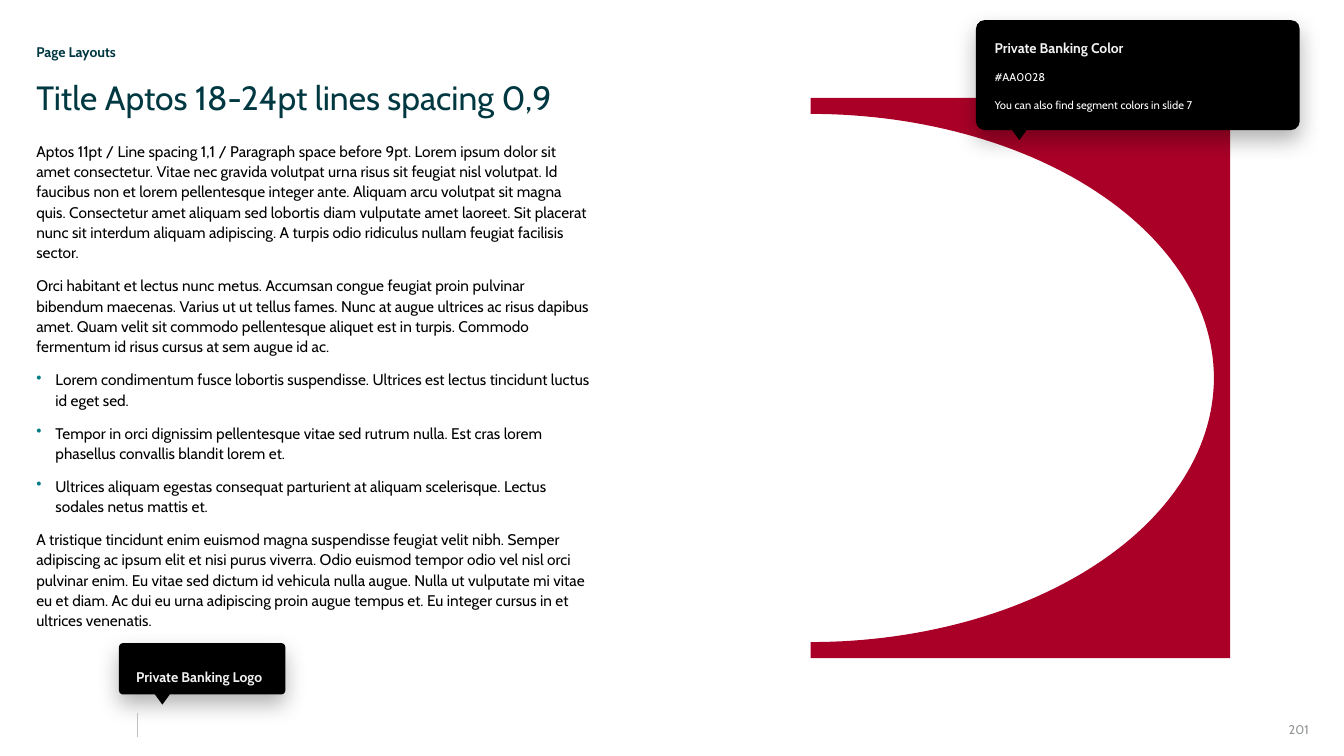
from math import cos, pi, sin

from lxml.etree import SubElement
from pptx import Presentation
from pptx.dml.color import RGBColor
from pptx.enum.shapes import MSO_CONNECTOR as Connector
from pptx.enum.shapes import MSO_SHAPE as Shape
from pptx.enum.text import MSO_ANCHOR as Anchor
from pptx.enum.text import PP_ALIGN as Align
from pptx.oxml.ns import qn
from pptx.util import Inches, Pt

COLORS = {
    "petrol": "003841", "teal": "007B85", "red": "AA0028", "black": "000000",
    "white": "FFFFFF", "pale": "F2F2F2", "gray": "939793", "rule": "BEC1BE",
}
FONT = "Cabin"
STYLES = {
    "kicker": {"size": 10, "color": "petrol", "bold": True, "spacing": 0.9},
    "title": {"size": 24, "color": "petrol", "spacing": 0.9},
    "body": {"size": 11, "color": "black", "spacing": 1.1, "before": 9},
    "bullet": {"size": 11, "color": "black", "spacing": 1.1, "before": 9},
    "page": {"size": 9, "color": "gray", "align": Align.RIGHT},
    "heading": {"size": 10, "color": "pale", "bold": True, "spacing": 1.1},
    "detail": {"size": 8, "color": "white", "spacing": 1.1, "before": 9},
}
BODY = [
    ("body", "Aptos 11pt / Line spacing 1,1 / Paragraph space before 9pt. Lorem ipsum dolor sit "
     "amet consectetur. Vitae nec gravida volutpat urna risus sit feugiat nisl volutpat. Id "
     "faucibus non et lorem pellentesque integer ante. Aliquam arcu volutpat sit magna quis. "
     "Consectetur amet aliquam sed lobortis diam vulputate amet laoreet. Sit placerat nunc sit "
     "interdum aliquam adipiscing. A turpis odio ridiculus nullam feugiat facilisis sector."),
    ("body", "Orci habitant et lectus nunc metus. Accumsan congue feugiat proin pulvinar bibendum "
     "maecenas. Varius ut ut tellus fames. Nunc at augue ultrices ac risus dapibus amet. Quam "
     "velit sit commodo pellentesque aliquet est in turpis. Commodo fermentum id risus cursus "
     "at sem augue id ac."),
    ("bullet", "Lorem condimentum fusce lobortis suspendisse. Ultrices est lectus tincidunt "
     "luctus id eget sed."),
    ("bullet", "Tempor in orci dignissim pellentesque vitae sed rutrum nulla. Est cras lorem "
     "phasellus convallis blandit lorem et."),
    ("bullet", "Ultrices aliquam egestas consequat parturient at aliquam scelerisque. Lectus "
     "sodales netus mattis et."),
    ("body", "A tristique tincidunt enim euismod magna suspendisse feugiat velit nibh. Semper "
     "adipiscing ac ipsum elit et nisi purus viverra. Odio euismod tempor odio vel nisl orci "
     "pulvinar enim. Eu vitae sed dictum id vehicula nulla augue. Nulla ut vulputate mi vitae "
     "eu et diam. Ac dui eu urna adipiscing proin augue tempus et. Eu integer cursus in et "
     "ultrices venenatis."),
]


def rgb(name):
    """Return the named colour."""
    return RGBColor.from_string(COLORS[name])


def fill_plain(shape, color):
    """Give a shape a flat fill without line or shadow."""
    shape.shadow.inherit = False
    shape.fill.solid()
    shape.fill.fore_color.rgb = rgb(color)
    shape.line.fill.background()


def add_bullet(paragraph):
    """Give a paragraph a teal bullet with a hanging indent."""
    properties = paragraph._p.get_or_add_pPr()
    properties.set("marL", str(Inches(0.19)))
    properties.set("indent", str(-Inches(0.19)))
    color = SubElement(properties, qn("a:buClr"))
    SubElement(color, qn("a:srgbClr"), val=COLORS["teal"])
    SubElement(properties, qn("a:buChar"), char="•")


def write_text(frame, entries, margins=(0, 0, 0, 0), anchor=Anchor.TOP):
    """Write (style, text) entries as paragraphs into a text frame."""
    frame.word_wrap = True
    frame.vertical_anchor = anchor
    for side, margin in zip(("left", "top", "right", "bottom"), margins):
        setattr(frame, f"margin_{side}", Inches(margin))
    for index, (name, text) in enumerate(entries):
        style = STYLES[name]
        paragraph = frame.add_paragraph() if index else frame.paragraphs[0]
        layout = {
            "alignment": style.get("align", Align.LEFT),
            "line_spacing": style.get("spacing", 1.0),
            "space_before": Pt(style.get("before", 0) if index else 0),
        }
        for attribute, value in layout.items():
            setattr(paragraph, attribute, value)
        if name == "bullet":
            add_bullet(paragraph)
        run = paragraph.add_run()
        run.text = text
        look = {"name": FONT, "size": Pt(style["size"]), "bold": style.get("bold", False)}
        for attribute, value in look.items():
            setattr(run.font, attribute, value)
        run.font.color.rgb = rgb(style["color"])


def add_text(slide, box, entries, anchor=Anchor.TOP):
    """Add a text box without margins."""
    shape = slide.shapes.add_textbox(*map(Inches, box))
    write_text(shape.text_frame, entries, anchor=anchor)


def add_article(slide, left, top, width):
    """Add the kicker, title and body column."""
    add_text(slide, (left, top, width, 0.15), [("kicker", "Page Layouts")])
    add_text(slide, (left, top + 0.94, width, 5.51), BODY)
    add_text(slide, (left, top + 0.36, width, 0.37),
             [("title", "Title Aptos 18-24pt lines spacing 0,9")])


def add_arch(slide, left, top, width, height, rim=0.16, steps=60):
    """Add the two mirrored halves of the red frame around a half ellipse."""
    middle = top + height / 2
    for side in (1, -1):
        edge = middle + side * height / 2
        angles = [step * pi / 2 / steps for step in range(steps + 1)]
        curve = [(left + (width - rim) * cos(angle),
                  middle + side * (height / 2 - rim) * sin(angle)) for angle in angles]
        points = [(left + width, edge), (left + width, middle), *curve]
        builder = slide.shapes.build_freeform(Inches(left), Inches(edge))
        builder.add_line_segments([(Inches(x), Inches(y)) for x, y in points], close=True)
        fill_plain(builder.convert_to_shape(), "red")


def add_soft_shadow(shape):
    """Add a blurred shadow that falls straight down."""
    effects = shape._element.spPr.find(qn("a:effectLst"))
    shadow = SubElement(effects, qn("a:outerShdw"), blurRad=str(Pt(16.1)), dist=str(Pt(7.1)),
                        dir="5400000", algn="t", rotWithShape="0")
    color = SubElement(shadow, qn("a:srgbClr"), val=COLORS["black"])
    SubElement(color, qn("a:alpha"), val="30000")


def add_callout(slide, box, entries, bottom_margin):
    """Add a black rounded callout with a pointer below."""
    left, top, width, height = box
    bubble = slide.shapes.add_shape(Shape.ROUNDED_RECTANGLE, *map(Inches, box))
    bubble.adjustments[0] = 0.078
    fill_plain(bubble, "black")
    add_soft_shadow(bubble)
    write_text(bubble.text_frame, entries, (0.16, 0.16, 0.16, bottom_margin), Anchor.BOTTOM)
    pointer_box = (left + 0.35, top + height - 0.01, 0.16, 0.11)
    pointer = slide.shapes.add_shape(Shape.ISOSCELES_TRIANGLE, *map(Inches, pointer_box))
    pointer.rotation = 180
    fill_plain(pointer, "black")


def add_footer(slide, left, top, right):
    """Add the thin footer rule and the page number."""
    rule = slide.shapes.add_connector(
        Connector.STRAIGHT, *map(Inches, (left, top, left, top + 0.24)))
    rule.line.color.rgb = rgb("rule")
    rule.line.width = Pt(0.5)
    SubElement(rule._element.spPr, qn("a:effectLst"))
    add_text(slide, (right - 0.75, top + 0.09, 0.75, 0.15), [("page", "201")], Anchor.MIDDLE)


def main():
    """Build and save the slide."""
    presentation = Presentation()
    presentation.slide_width = Inches(13.33)
    presentation.slide_height = Inches(7.5)
    slide = presentation.slides.add_slide(presentation.slide_layouts[6])
    add_article(slide, 0.36, 0.45, 5.51)
    add_arch(slide, 8.04, 0.97, 4.16, 5.56)
    add_callout(slide, (1.18, 6.38, 1.65, 0.51), [("heading", "Private Banking Logo")], 0.08)
    add_callout(slide, (9.68, 0.2, 3.21, 1.09), [
        ("heading", "Private Banking Color"),
        ("detail", "#AA0028"),
        ("detail", "You can also find segment colors in slide 7"),
    ], 0.16)
    add_footer(slide, 1.36, 7.07, 12.98)
    presentation.save("out.pptx")


if __name__ == "__main__":
    main()
